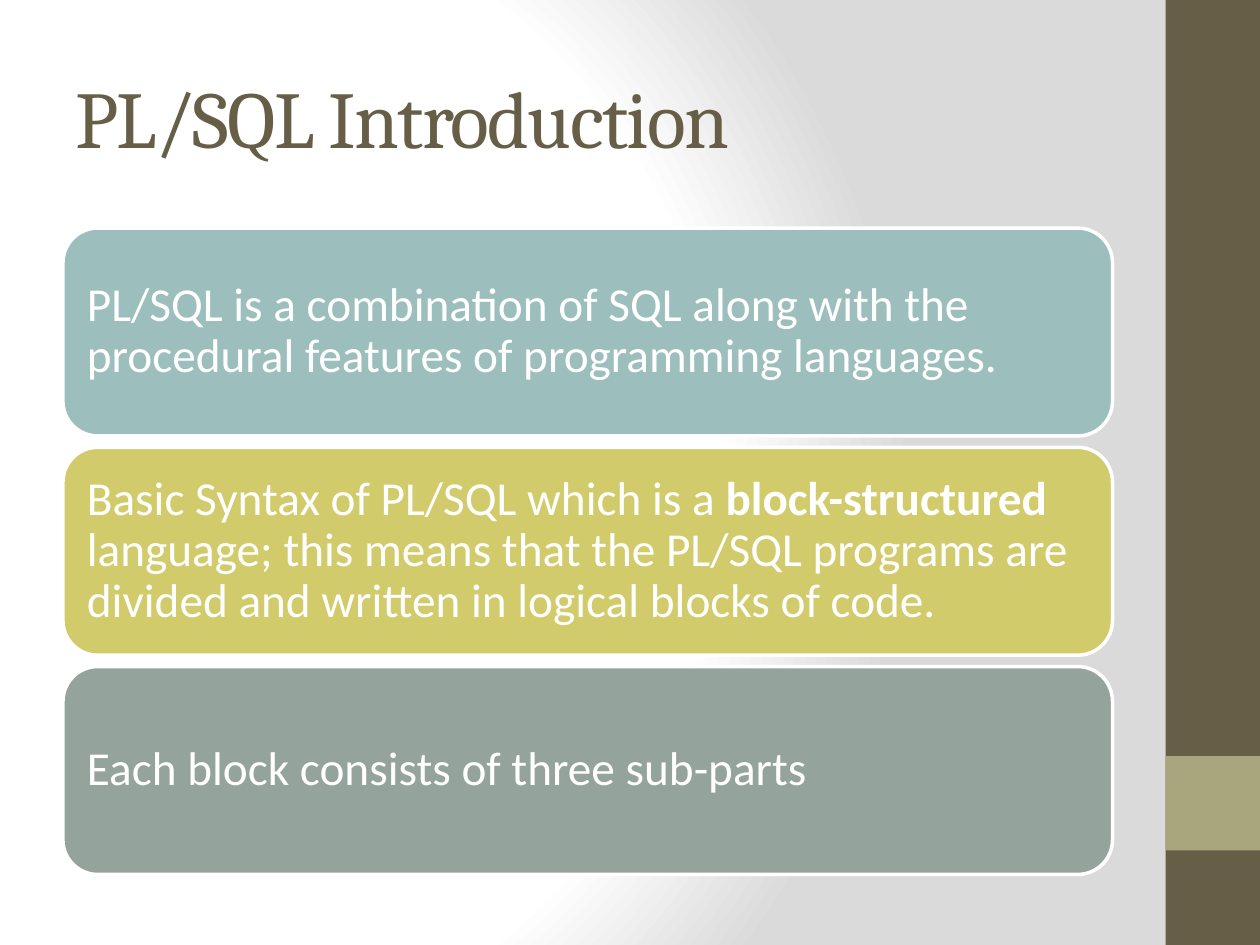
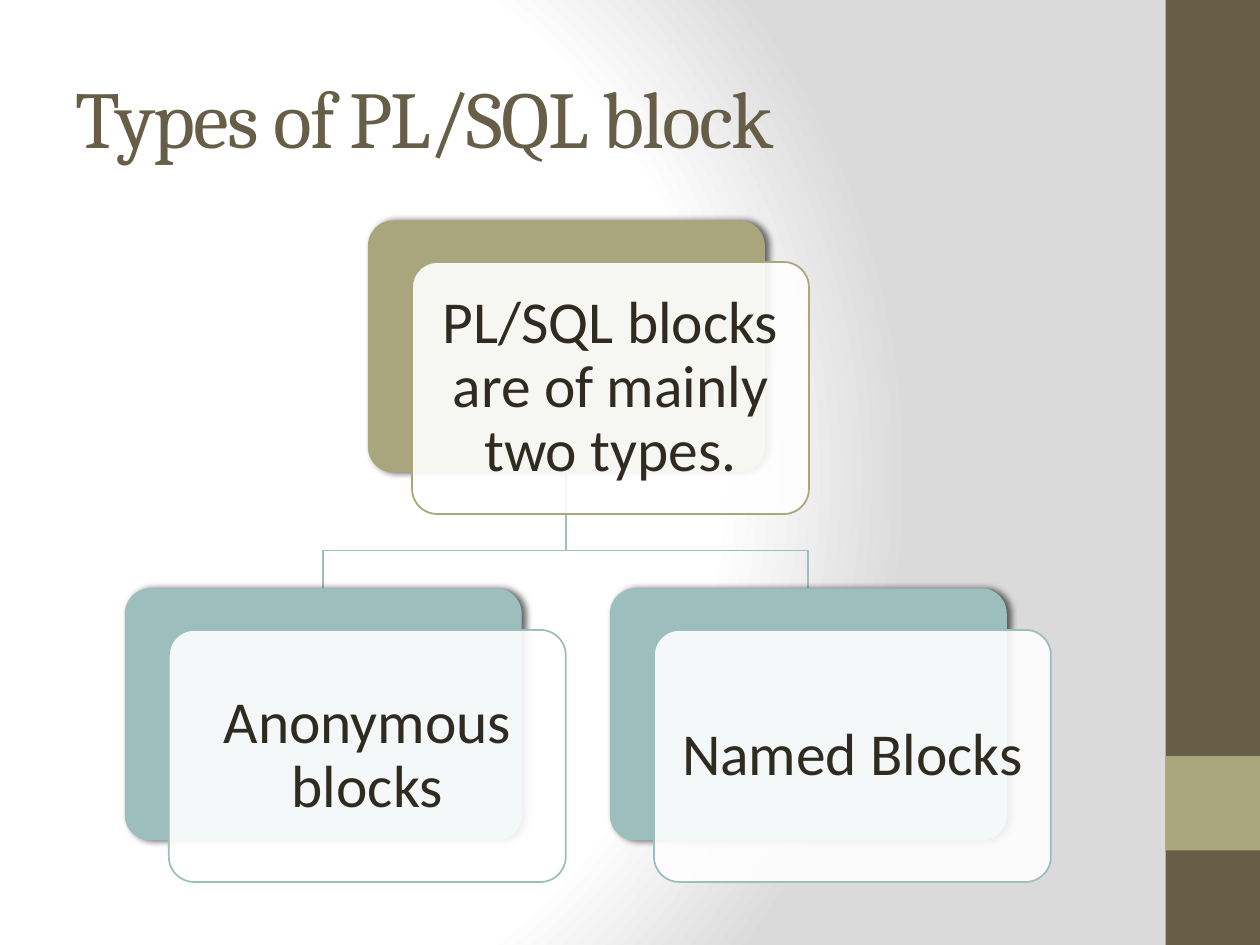
"""Build two PL/SQL slides: an introduction and the types of block."""
import lxml.etree
import pptx
import pptx.dml.color
import pptx.enum.shapes
import pptx.enum.text
import pptx.oxml
import pptx.oxml.ns
import pptx.util

Inches = pptx.util.Inches
Pt = pptx.util.Pt
RGBColor = pptx.dml.color.RGBColor
SHAPE = pptx.enum.shapes.MSO_SHAPE
ALIGN = pptx.enum.text.PP_ALIGN
qn = pptx.oxml.ns.qn

WHITE = RGBColor(0xFF, 0xFF, 0xFF)
GREY = RGBColor(0xDA, 0xDA, 0xDA)
BROWN = RGBColor(0x67, 0x5E, 0x47)
KHAKI = RGBColor(0xA9, 0xA5, 0x7C)
TEAL = RGBColor(0x9C, 0xBE, 0xBD)
YELLOW = RGBColor(0xD2, 0xCB, 0x6C)
SAGE = RGBColor(0x95, 0xA3, 0x9D)
INK = RGBColor(0x2F, 0x2B, 0x20)

BACKGROUND = f"""<a:gradFill {pptx.oxml.ns.nsdecls("a")} rotWithShape="1"><a:gsLst>
<a:gs pos="0"><a:srgbClr val="{WHITE}"/></a:gs>
<a:gs pos="75000"><a:srgbClr val="{WHITE}"/></a:gs>
<a:gs pos="100000"><a:srgbClr val="{GREY}"/></a:gs></a:gsLst>
<a:path path="circle"><a:fillToRect l="20000" t="50000" r="100000" b="50000"/></a:path>
</a:gradFill>"""


class Deck:
    def __init__(self):
        self.prs = pptx.Presentation()
        self.prs.slide_width = Inches(10)
        self.prs.slide_height = Inches(7.5)
        master = self.prs.slide_master
        master.background.fill.solid()
        fill = master.element.find(".//" + qn("p:bgPr")).find(qn("a:solidFill"))
        fill.getparent().replace(fill, pptx.oxml.parse_xml(BACKGROUND))

    def slide(self, title):
        self.s = self.prs.slides.add_slide(self.prs.slide_layouts[5])
        self.box(SHAPE.RECTANGLE, 9.25, 0, 0.75, 7.5, BROWN)
        self.box(SHAPE.RECTANGLE, 9.25, 6, 0.75, 0.75, KHAKI)
        sp = self.s.shapes.title
        sp.left, sp.top = Inches(0.5), Inches(0.3)
        sp.width, sp.height = Inches(8.33), Inches(1.25)
        self.text(sp, [(title, False)], "Cambria", 46, BROWN, 0.1)
        sp.text_frame.paragraphs[0].line_spacing = 1.0
        sp.text_frame.paragraphs[0].runs[0].font._element.set("spc", "-100")

    def box(self, kind, x, y, w, h, fill, line=None, width=1, adj=None):
        sp = self.s.shapes.add_shape(kind, Inches(x), Inches(y), Inches(w), Inches(h))
        sp.shadow.inherit = False
        sp.fill.solid()
        sp.fill.fore_color.rgb = fill
        if line is None:
            sp.line.fill.background()
        else:
            sp.line.color.rgb = line
            sp.line.width = Pt(width)
        if adj is not None:
            sp.adjustments[0] = adj
        return sp

    def text(self, sp, runs, font, size, color, inset, align=ALIGN.LEFT):
        tf = sp.text_frame
        tf.word_wrap = True
        tf.auto_size = pptx.enum.text.MSO_AUTO_SIZE.NONE
        tf.vertical_anchor = pptx.enum.text.MSO_ANCHOR.MIDDLE
        tf.margin_left = tf.margin_right = Inches(inset)
        tf.margin_top = tf.margin_bottom = Inches(min(inset, 0.14))
        p = tf.paragraphs[0]
        p.alignment = align
        p.line_spacing = 0.9
        for words, bold in runs:
            r = p.add_run()
            r.text = words
            r.font.name = font
            r.font.size = Pt(size)
            r.font.bold = bold
            r.font.color.rgb = color

    def panel(self, y, fill, runs):
        sp = self.box(SHAPE.ROUNDED_RECTANGLE, 0.5, y, 8.33, 1.65, fill, WHITE, 2)
        self.text(sp, runs, "Calibri", 27, WHITE, 0.11)

    def card(self, x, y, color, words):
        back = self.box(SHAPE.ROUNDED_RECTANGLE, x, y, 3.15, 2, color, adj=0.1)
        effects = back._element.spPr.find(qn("a:effectLst"))
        shadow = lxml.etree.SubElement(effects, qn("a:outerShdw"), blurRad=str(Pt(4)),
                                       dist=str(Pt(2)), dir="0", rotWithShape="0")
        self.alpha(lxml.etree.SubElement(shadow, qn("a:srgbClr"), val="000000"), 60)
        front = self.box(SHAPE.ROUNDED_RECTANGLE, x + 0.35, y + 0.33, 3.15, 2,
                         WHITE, color, adj=0.1)
        fill = front._element.spPr.find(qn("a:solidFill"))
        self.alpha(fill.find(qn("a:srgbClr")), 90)
        self.text(front, [(words, False)], "Calibri", 34, INK, 0.14, ALIGN.CENTER)

    def alpha(self, color, percent):
        lxml.etree.SubElement(color, qn("a:alpha"), val=str(percent * 1000))

    def branch(self, points, color):
        start, *rest = [(Inches(x), Inches(y)) for x, y in points]
        builder = self.s.shapes.build_freeform(*start)
        builder.add_line_segments(rest, close=False)
        sp = builder.convert_to_shape()
        sp.shadow.inherit = False
        sp.fill.background()
        sp.line.color.rgb = color
        sp.line.width = Pt(1)


def main():
    deck = Deck()

    deck.slide("PL/SQL Introduction")
    panels = [
        (TEAL, [("PL/SQL is a combination of SQL along with the procedural "
                 "features of programming languages.", False)]),
        (YELLOW, [("Basic Syntax of PL/SQL which is a ", False),
                  ("block-structured", True),
                  (" language; this means that the PL/SQL programs are divided "
                   "and written in logical blocks of code.", False)]),
        (SAGE, [("Each block consists of three sub-parts", False)]),
    ]
    for i, (fill, runs) in enumerate(panels):
        deck.panel(1.81 + 1.74 * i, fill, runs)

    deck.slide("Types of PL/SQL block")
    root_x, child_y, half = 2.92, 4.67, 3.15 / 2
    children = [(0.99, "Anonymous blocks"), (4.84, "Named Blocks")]
    root_mid = root_x + half
    for x, _ in reversed(children):
        deck.branch([(root_mid, 3.75), (root_mid, 4.37),
                     (x + half, 4.37), (x + half, child_y)], TEAL)
    deck.card(root_x, 1.75, KHAKI, "PL/SQL blocks are of mainly two types.")
    for x, words in children:
        deck.card(x, child_y, TEAL, words)

    deck.prs.save("out.pptx")


if __name__ == "__main__":
    main()
